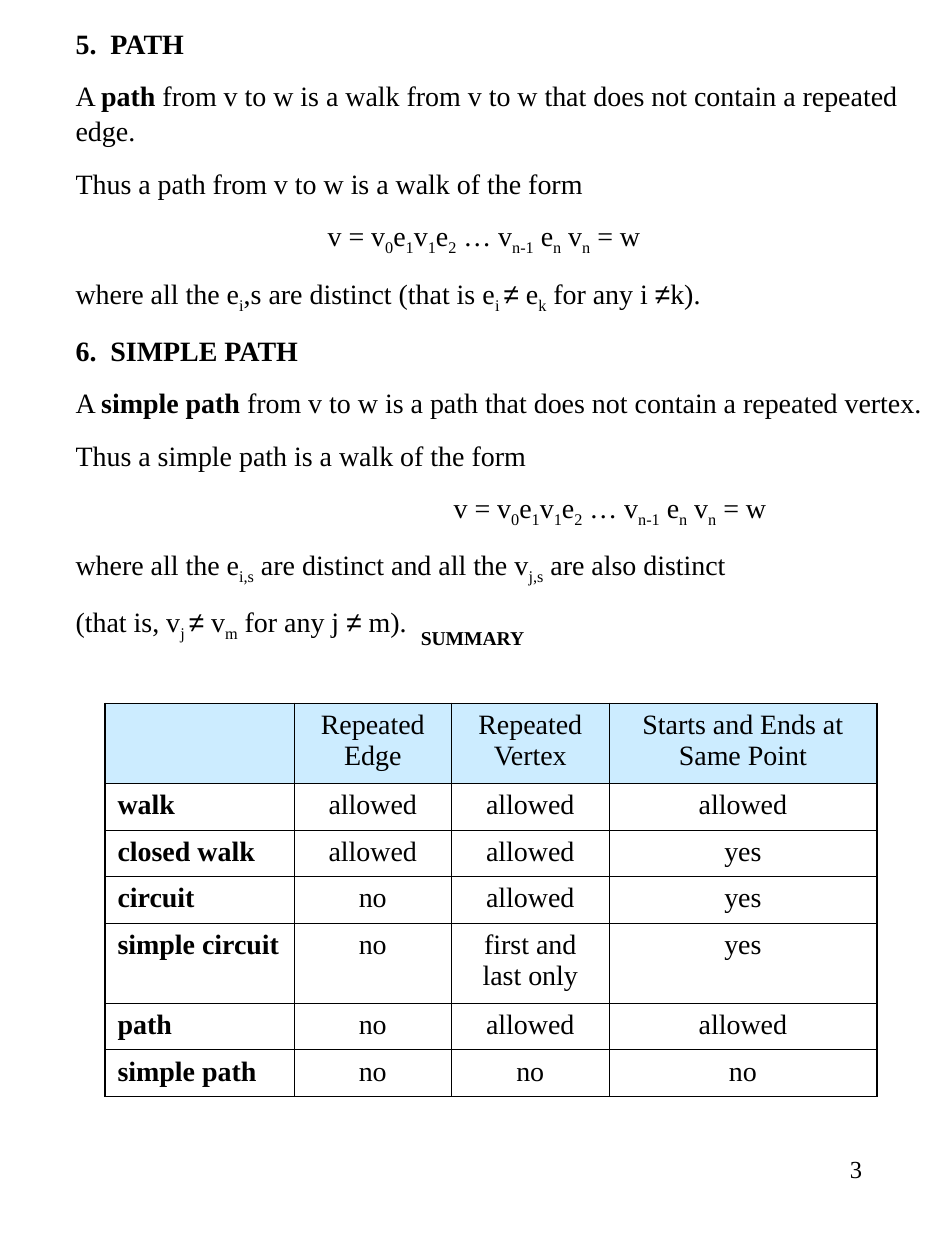
"""Build the slide on paths, simple paths and the summary of walk types."""

from dataclasses import dataclass

from lxml.etree import SubElement
from pptx import Presentation
from pptx.dml.color import RGBColor
from pptx.enum.text import MSO_ANCHOR, MSO_AUTO_SIZE, PP_ALIGN
from pptx.oxml.ns import qn
from pptx.slide import Slide
from pptx.table import _Cell
from pptx.util import Pt

BLACK = RGBColor(0x00, 0x00, 0x00)
HEADER_BLUE = RGBColor(0xCC, 0xEC, 0xFF)
SERIF = "Times New Roman"
SANS = "Arial"
THIN, THICK = Pt(0.45), Pt(1.08)


@dataclass(frozen=True)
class Piece:
    text: str
    bold: bool = False
    subscript: bool = False
    font: str = SERIF


@dataclass(frozen=True)
class Line:
    pieces: tuple[Piece, ...]
    indent: float = 36


def bold(text: str) -> Piece:
    return Piece(text, bold=True)


def sub(text: str) -> Piece:
    return Piece(text, subscript=True)


def line(*pieces: str | Piece, indent: float = 36) -> Line:
    return Line(tuple(Piece(piece) if isinstance(piece, str) else piece for piece in pieces), indent)


NOT_EQUAL = Piece("≠", font=SANS)
FORMULA = ("v = v", sub("0"), "e", sub("1"), "v", sub("1"), "e", sub("2"), " … v",
           sub("n-1"), " e", sub("n"), " v", sub("n"), " = w")

DEFINITIONS = (
    line(bold("5.  PATH")),
    line("A ", bold("path"), " from v to w is a walk from v to w that does not contain a repeated edge."),
    line("Thus a path from v to w is a walk of the form"),
    line(*FORMULA, indent=180),
    line("where all the e", sub("i"), ",s are distinct (that is e", sub("i "), NOT_EQUAL,
         " e", sub("k"), " for any i ", NOT_EQUAL, "k)."),
    line(bold("6.  SIMPLE PATH")),
    line("A ", bold("simple path"), " from v to w is a path that does not contain a repeated vertex."),
    line("Thus a simple path is a walk of the form"),
    line(*FORMULA, indent=252),
    line("where all the e", sub("i,s"), " are distinct and all the v", sub("j,s"), " are also distinct"),
    line("(that is, v", sub("j "), NOT_EQUAL, " v", sub("m"), " for any j ", NOT_EQUAL, " m)."),
)

SUMMARY_ROWS = (
    ("", "Repeated Edge", "Repeated Vertex", "Starts and Ends at Same Point"),
    ("walk", "allowed", "allowed", "allowed"),
    ("closed walk", "allowed", "allowed", "yes"),
    ("circuit", "no", "allowed", "yes"),
    ("simple circuit", "no", "first and last only", "yes"),
    ("path", "no", "allowed", "allowed"),
    ("simple path", "no", "no", "no"),
)
COLUMN_WIDTHS = (108, 90, 90, 153)
ROW_HEIGHTS = (45.7, 26.64, 26.64, 26.64, 45.7, 26.64, 26.64)


def add_piece(paragraph, piece: Piece, size: float = 16) -> None:
    run = paragraph.add_run()
    run.text = piece.text
    run.font.name = piece.font
    run.font.size = Pt(size)
    run.font.bold = piece.bold
    run.font.color.rgb = BLACK
    if piece.subscript:
        run._r.get_or_add_rPr().set("baseline", "-25000")


def place(shape, left: float, top: float, width: float, height: float) -> None:
    shape.left, shape.top, shape.width, shape.height = Pt(left), Pt(top), Pt(width), Pt(height)


def write_definitions(slide: Slide) -> None:
    body = slide.placeholders[1]
    place(body, 0, 10.8, 540, 350.6)
    frame = body.text_frame
    frame.auto_size = MSO_AUTO_SIZE.SHAPE_TO_FIT_TEXT
    for index, definition in enumerate(DEFINITIONS):
        paragraph = frame.add_paragraph() if index else frame.paragraphs[0]
        paragraph.level = 1
        paragraph.line_spacing = 1.04
        paragraph.space_before = Pt(10 if index else 0)
        properties = paragraph._p.get_or_add_pPr()
        properties.set("marL", str(Pt(definition.indent)))
        properties.set("indent", "0")
        SubElement(properties, qn("a:buNone"))
        for piece in definition.pieces:
            add_piece(paragraph, piece)


def write_summary_title(slide: Slide) -> None:
    title = slide.shapes.title
    place(title, 0, 354.2, 540, 20.9)
    frame = title.text_frame
    frame.auto_size = MSO_AUTO_SIZE.NONE
    frame.vertical_anchor = MSO_ANCHOR.MIDDLE
    paragraph = frame.paragraphs[0]
    paragraph.alignment = PP_ALIGN.CENTER
    paragraph.space_before = Pt(0)
    add_piece(paragraph, bold("SUMMARY"), 11.2)


def set_borders(cell: _Cell, row: int, column: int) -> None:
    outer_sides = {
        "L": column == 0,
        "R": column == len(COLUMN_WIDTHS) - 1,
        "T": row == 0,
        "B": row == len(ROW_HEIGHTS) - 1,
    }
    properties = cell._tc.get_or_add_tcPr()
    for side, is_outer in outer_sides.items():
        border = SubElement(properties, qn(f"a:ln{side}"), w=str(THICK if is_outer else THIN))
        fill = SubElement(border, qn("a:solidFill"))
        SubElement(fill, qn("a:srgbClr"), val=str(BLACK))


def fill_cell(cell: _Cell, text: str, row: int, column: int) -> None:
    set_borders(cell, row, column)
    if row == 0:
        cell.fill.solid()
        cell.fill.fore_color.rgb = HEADER_BLUE
    else:
        cell.fill.background()
    paragraph = cell.text_frame.paragraphs[0]
    paragraph.alignment = PP_ALIGN.CENTER if column else PP_ALIGN.LEFT
    if text:
        add_piece(paragraph, Piece(text, bold=column == 0))


def add_summary_table(slide: Slide) -> None:
    table = slide.shapes.add_table(
        len(ROW_HEIGHTS), len(COLUMN_WIDTHS), Pt(60), Pt(402),
        Pt(sum(COLUMN_WIDTHS)), Pt(sum(ROW_HEIGHTS))).table
    table.first_row = False
    table.horz_banding = False
    for column, width in zip(table.columns, COLUMN_WIDTHS):
        column.width = Pt(width)
    for row_index, (height, texts) in enumerate(zip(ROW_HEIGHTS, SUMMARY_ROWS)):
        table.rows[row_index].height = Pt(height)
        for column_index, text in enumerate(texts):
            fill_cell(table.cell(row_index, column_index), text, row_index, column_index)


def add_page_number(slide: Slide) -> None:
    frame = slide.shapes.add_textbox(Pt(387.4), Pt(656), Pt(112.3), Pt(48)).text_frame
    frame.word_wrap = True
    paragraph = frame.paragraphs[0]
    paragraph.alignment = PP_ALIGN.RIGHT
    add_piece(paragraph, Piece("3"), 14)


def main() -> None:
    presentation = Presentation()
    presentation.slide_width = Pt(540)
    presentation.slide_height = Pt(720)
    slide = presentation.slides.add_slide(presentation.slide_layouts[1])
    write_definitions(slide)
    write_summary_title(slide)
    add_summary_table(slide)
    add_page_number(slide)
    presentation.save("out.pptx")


if __name__ == "__main__":
    main()
